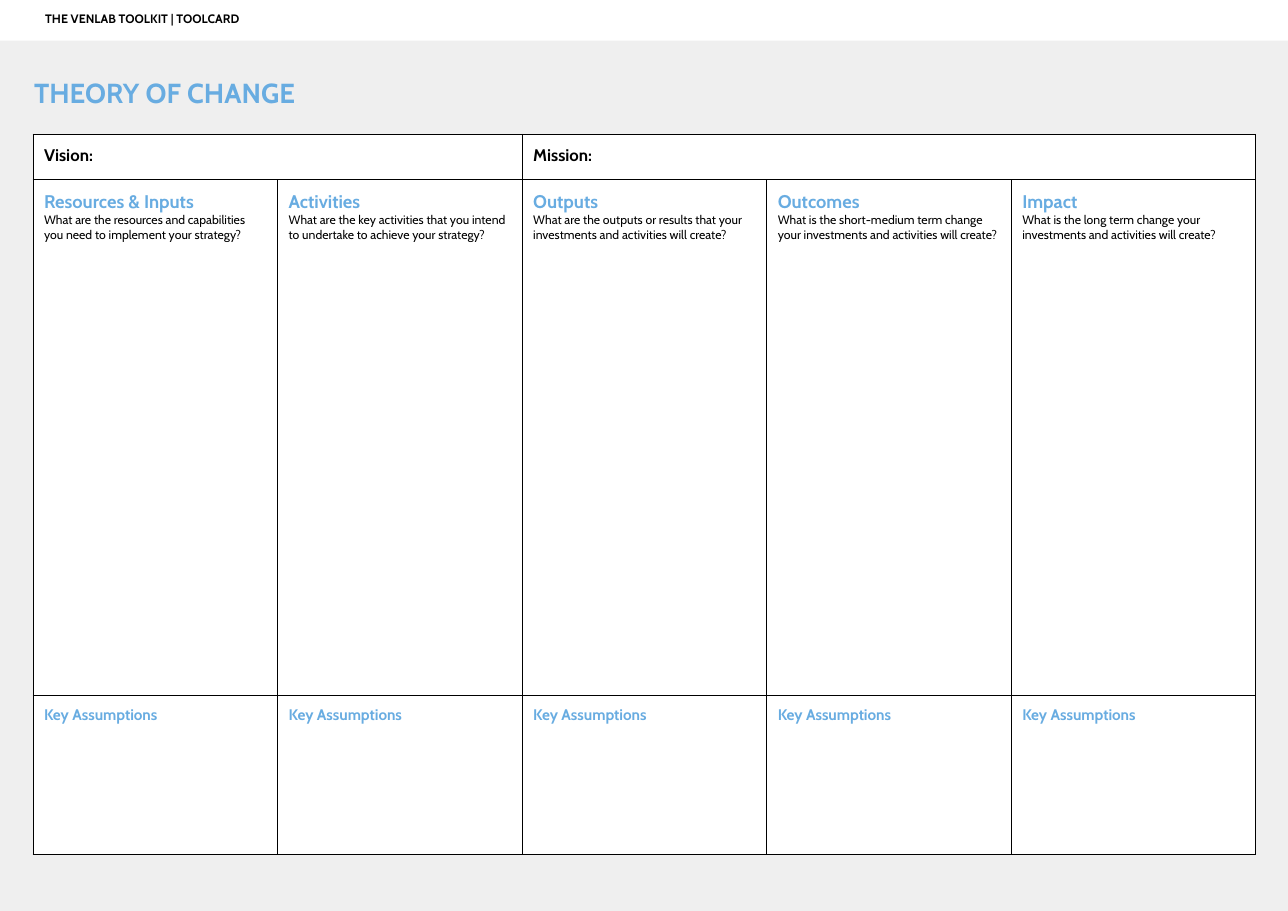
from pptx import Presentation
from pptx.dml.color import RGBColor as RGB
from pptx.enum.shapes import MSO_SHAPE as Shape
from pptx.enum.text import MSO_ANCHOR as Anchor, PP_ALIGN as Align
from pptx.oxml import parse_xml
from pptx.oxml.ns import nsdecls
from pptx.util import Inches, Pt

BLACK = RGB(0x00, 0x00, 0x00)
WHITE = RGB(0xFF, 0xFF, 0xFF)
GREY = RGB(0xEF, 0xEF, 0xEF)
BLUE = RGB(0x68, 0xAC, 0xE1)

FONT = "Cabin"
WIDTH, HEIGHT = Inches(11.69), Inches(8.27)
INSET = Inches(0.1)
COL = Inches(2.22)
ROWS = [Inches(0.41), Inches(4.68), Inches(1.45)]

GOALS = [(0, 1, "Vision:"), (2, 4, "Mission:")]
STAGES = [
    ("Resources & Inputs",
     "What are the resources and capabilities you need to implement your strategy?"),
    ("Activities",
     "What are the key activities that you intend to undertake to achieve your strategy?"),
    ("Outputs",
     "What are the outputs or results that your investments and activities will create?"),
    ("Outcomes",
     "What is the short-medium term change your investments and activities will create?"),
    ("Impact",
     "What is the long term change your investments and activities will create?"),
]


def write(frame, *lines):
    for i, (text, size, color, bold) in enumerate(lines):
        para = frame.paragraphs[0] if i == 0 else frame.add_paragraph()
        para.text = text
        para.alignment = Align.LEFT
        font = para.font
        font.name, font.size, font.bold = FONT, Pt(size), bold
        font.color.rgb = color


def set_frame(frame, left):
    frame.word_wrap = True
    frame.vertical_anchor = Anchor.TOP
    frame.margin_left = left
    frame.margin_top = frame.margin_right = frame.margin_bottom = INSET


def add_band(slide, height, color):
    band = slide.shapes.add_shape(Shape.RECTANGLE, 0, 0, WIDTH, height)
    band.shadow.inherit = False
    band.fill.solid()
    band.fill.fore_color.rgb = color
    band.line.fill.background()
    return band


def add_title(slide, text):
    box = slide.shapes.add_textbox(Inches(-0.17), Inches(0.59), Inches(6.64), Inches(0.51))
    set_frame(box.text_frame, Inches(0.48))
    write(box.text_frame, (text, 18, BLUE, True))


def style_cell(cell):
    cell.margin_left = cell.margin_right = INSET
    cell.margin_top = cell.margin_bottom = INSET
    props = cell._tc.get_or_add_tcPr()
    for side in "LRTB":
        props.append(parse_xml(
            f'<a:ln{side} {nsdecls("a")} w="{Pt(0.75)}"><a:solidFill>'
            f'<a:srgbClr val="{BLACK}"/></a:solidFill></a:ln{side}>'))
    cell.fill.solid()
    cell.fill.fore_color.rgb = WHITE


def add_canvas(slide):
    count = len(STAGES)
    table = slide.shapes.add_table(
        len(ROWS), count, Inches(0.3), Inches(1.22), COL * count, sum(ROWS)).table
    table.first_row = table.horz_banding = False
    for col in table.columns:
        col.width = COL
    for row, height in zip(table.rows, ROWS):
        row.height = height
    for cell in table.iter_cells():
        style_cell(cell)
    for first, last, text in GOALS:
        table.cell(0, first).merge(table.cell(0, last))
        write(table.cell(0, first).text_frame, (text, 11, BLACK, True))
    for i, (name, question) in enumerate(STAGES):
        write(table.cell(1, i).text_frame,
              (name, 12, BLUE, True), (question, 8, BLACK, False))
        write(table.cell(2, i).text_frame, ("Key Assumptions", 10, BLUE, True))


def main():
    deck = Presentation()
    deck.slide_width, deck.slide_height = WIDTH, HEIGHT
    slide = deck.slides.add_slide(deck.slide_layouts[6])
    add_band(slide, HEIGHT, GREY)
    add_canvas(slide)
    add_title(slide, "THEORY OF CHANGE")
    header = add_band(slide, Inches(0.37), WHITE).text_frame
    set_frame(header, Inches(0.41))
    write(header, ("THE VENLAB TOOLKIT | TOOLCARD", 8, BLACK, True))
    deck.save("out.pptx")


if __name__ == "__main__":
    main()
